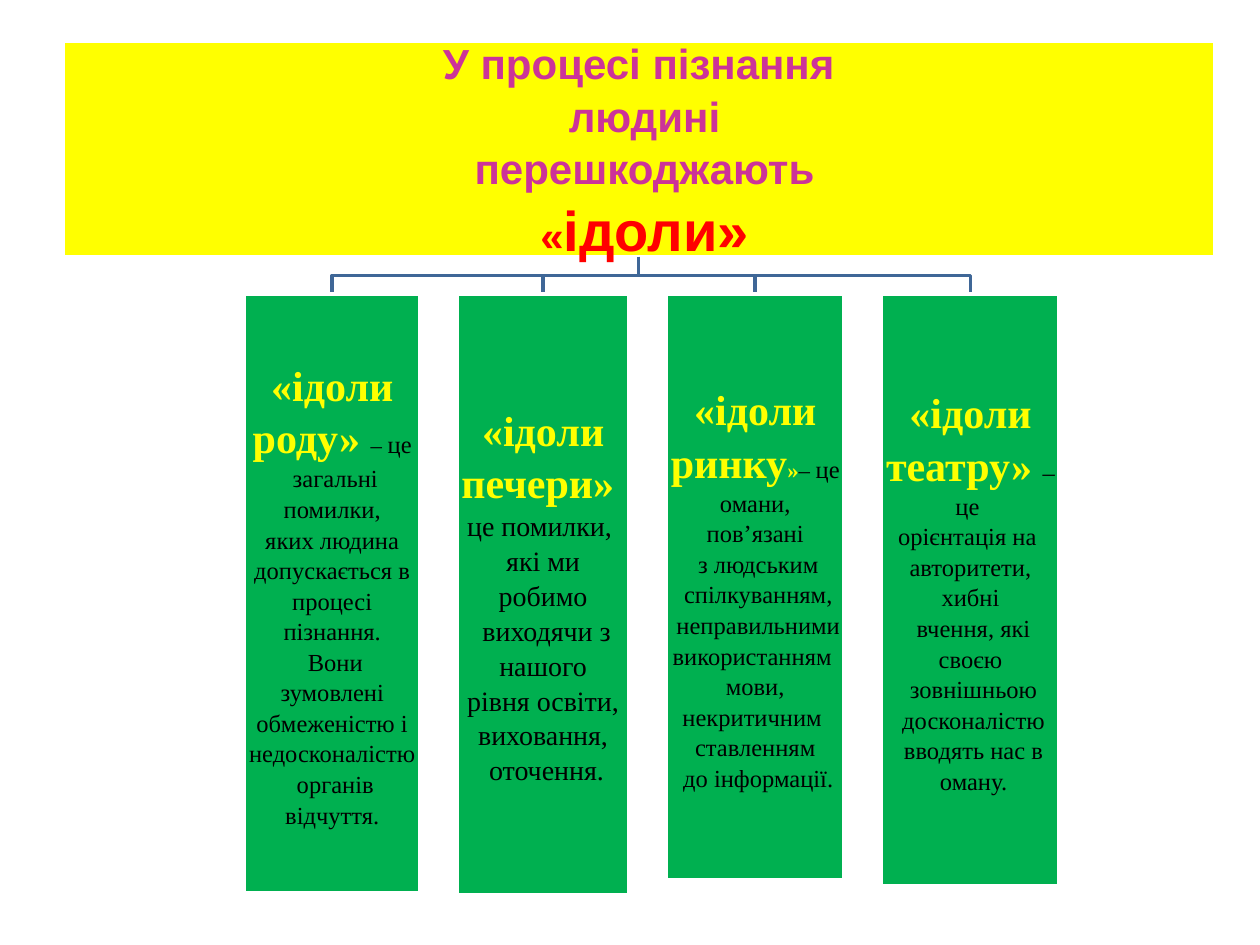
import pptx
import pptx.dml.color
import pptx.enum.shapes
import pptx.enum.text
import pptx.util

Pt = pptx.util.Pt
YELLOW, BLACK, RED, PINK = "FFFF00", "000000", "FF0000", "CC3399"
WHITE, GREEN, BLUE = "FFFFFF", "00B050", "3F6797"

TITLE = [
    [("У процесі пізнання", 24, PINK)],
    [(" людині", 24, PINK)],
    [(" перешкоджають", 24, PINK)],
    [(" ", 24, PINK), ("«", 24, RED), ("ідоли»", 32, RED)],
]

COLUMNS = [
    (100.1, 342, 14,
     [("«ідоли роду» ", 24, YELLOW), ("– ", 13, BLACK), ("це", 14, BLACK)],
     [" загальні помилки,", " яких людина ", "допускається в",
      "процесі пізнання.", " Вони зумовлені", " обмеженістю і ",
      "недосконалістю", " органів відчуття."]),
    (97.9, 343.4, 16,
     [("«ідоли печери» ", 24, YELLOW)],
     ["це помилки, ", "які ми робимо", " виходячи з нашого",
      " рівня освіти, ", "виховання,", " оточення."]),
    (101.5, 334.8, 14,
     [("«ідоли ринку", 24, YELLOW), ("»", 13, YELLOW),
      ("– ", 13, BLACK), ("це ", 14, BLACK)],
     ["омани, пов’язані", " з людським", " спілкуванням,",
      " неправильними ", "використанням ", "мови, некритичним ",
      "ставленням", " до інформації."]),
    (101.5, 338.4, 14,
     [("«ідоли театру» ", 24, YELLOW), ("– це ", 14, BLACK)],
     ["орієнтація на ", "авторитети, хибні", " вчення, які своєю",
      " зовнішньою", " досконалістю", " вводять нас в", " оману."]),
]


def rgb(value):
    """Return the colour for a hex string."""
    return pptx.dml.color.RGBColor.from_string(value)


def style_box(sp, fill):
    """Give a box its fill and white outline."""
    sp.fill.solid()
    sp.fill.fore_color.rgb = rgb(fill)
    sp.line.color.rgb = rgb(WHITE)
    sp.line.width = Pt(2)


def fill_text(sp, paragraphs, font):
    """Write centred paragraphs of (text, size, colour) runs into a box."""
    tf = sp.text_frame
    tf.word_wrap = True
    tf.auto_size = pptx.enum.text.MSO_AUTO_SIZE.NONE
    tf.vertical_anchor = pptx.enum.text.MSO_ANCHOR.MIDDLE
    tf.margin_left = tf.margin_right = tf.margin_top = tf.margin_bottom = Pt(1.5)
    for i, runs in enumerate(paragraphs):
        p = tf.paragraphs[0] if i == 0 else tf.add_paragraph()
        p.alignment = pptx.enum.text.PP_ALIGN.CENTER
        p.line_spacing = 1.04
        for text, size, color in runs:
            r = p.add_run()
            r.text = text
            r.font.name = font
            r.font.size = Pt(size)
            r.font.bold = color != BLACK
            r.font.color.rgb = rgb(color)


def add_title(s, left, top, width, height):
    """Place the banner in the title placeholder."""
    sp = s.shapes.title
    sp.left, sp.top, sp.width, sp.height = Pt(left), Pt(top), Pt(width), Pt(height)
    style_box(sp, YELLOW)
    fill_text(sp, TITLE, "Arial")


def add_branch(s, x, top, end_x, bottom):
    """Draw one stepped line from the banner to a column."""
    middle = (top + bottom) / 2
    fb = s.shapes.build_freeform(Pt(x), Pt(top))
    points = [(x, middle), (end_x, middle), (end_x, bottom)]
    fb.add_line_segments([(Pt(a), Pt(b)) for a, b in points], close=False)
    sp = fb.convert_to_shape()
    sp.shadow.inherit = False
    sp.fill.background()
    sp.line.color.rgb = rgb(BLUE)
    sp.line.width = Pt(2)


def add_column(s, left, top, width, height, size, heading, lines):
    """Place one idol column with its heading and description."""
    sp = s.shapes.add_shape(pptx.enum.shapes.MSO_SHAPE.RECTANGLE,
                            Pt(left), Pt(top), Pt(width), Pt(height))
    sp.shadow.inherit = False
    style_box(sp, GREEN)
    body = [[(line, size, BLACK)] for line in lines]
    fill_text(sp, [heading] + body, "Times New Roman")


def add_columns(s, left, top, gap, root_x, root_y):
    """Lay the columns out in a row and link each one to the banner."""
    for width, height, size, heading, lines in COLUMNS:
        add_branch(s, root_x, root_y, left + width / 2, top)
        add_column(s, left, top, width, height, size, heading, lines)
        left += width + gap


def main():
    """Build and save the slide."""
    prs = pptx.Presentation()
    prs.slide_width, prs.slide_height = Pt(720), Pt(540)
    s = prs.slides.add_slide(prs.slide_layouts[5])
    add_title(s, 36, 23.8, 658, 123)
    add_columns(s, 139.8, 168, 21.5, 365, 146.8)
    prs.save("out.pptx")


if __name__ == "__main__":
    main()
